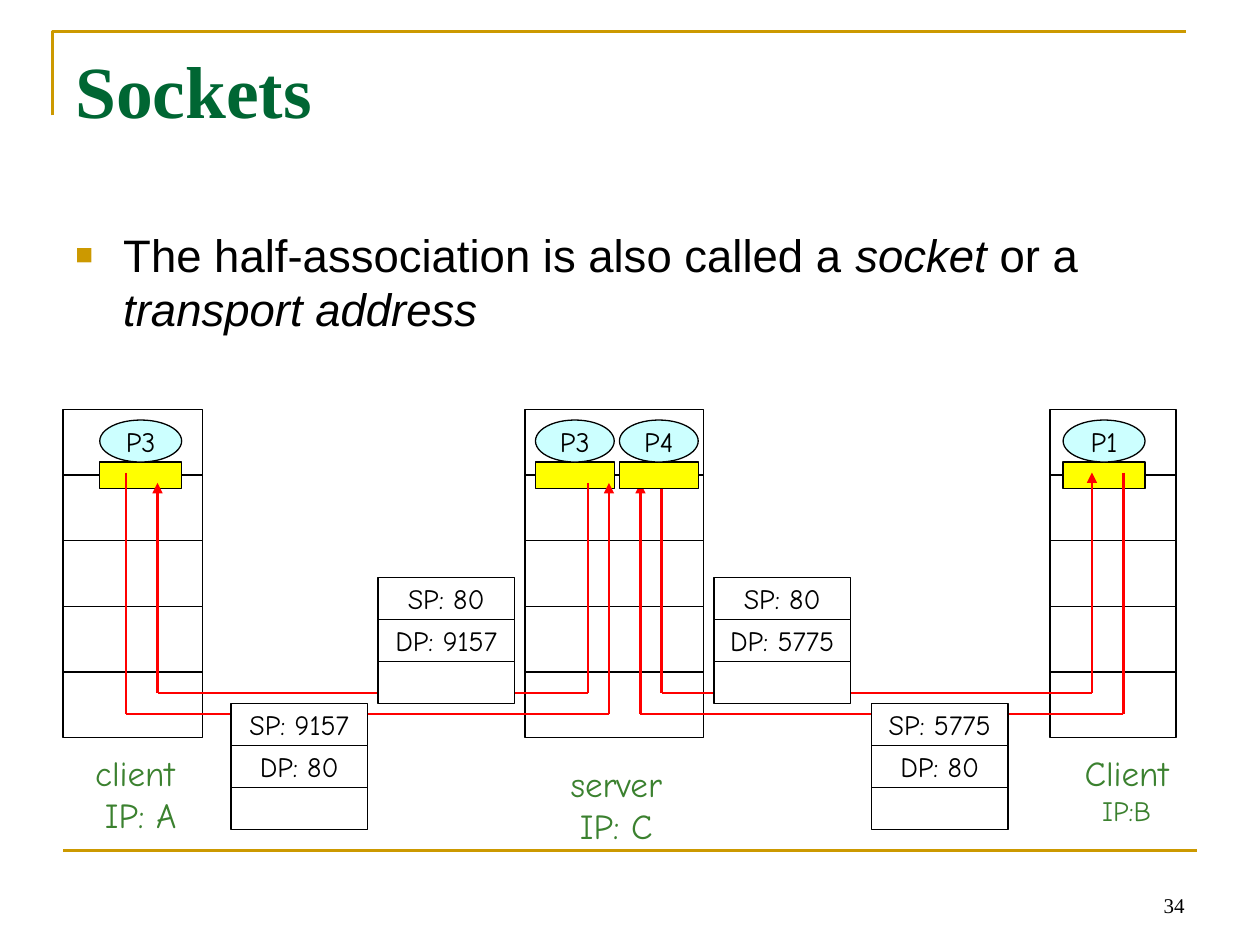
from lxml import etree
from pptx import Presentation
from pptx.dml.color import RGBColor
from pptx.enum.shapes import MSO_CONNECTOR, MSO_SHAPE
from pptx.enum.text import MSO_ANCHOR, PP_ALIGN
from pptx.oxml.ns import qn
from pptx.util import Inches, Pt

RECT, OVAL = MSO_SHAPE.RECTANGLE, MSO_SHAPE.OVAL
STRAIGHT = MSO_CONNECTOR.STRAIGHT
LEFT, CENTER, RIGHT = PP_ALIGN.LEFT, PP_ALIGN.CENTER, PP_ALIGN.RIGHT
TOP, MIDDLE, BOTTOM = MSO_ANCHOR.TOP, MSO_ANCHOR.MIDDLE, MSO_ANCHOR.BOTTOM

GOLD = RGBColor(0xCC, 0x99, 0x00)
DARK_GREEN = RGBColor(0x00, 0x66, 0x33)
LABEL_GREEN = RGBColor(0x3B, 0x81, 0x2F)
BLACK = RGBColor(0, 0, 0)
WHITE = RGBColor(0xFF, 0xFF, 0xFF)
YELLOW = RGBColor(0xFF, 0xFF, 0x00)
PALE_CYAN = RGBColor(0xCC, 0xFF, 0xFF)
RED = RGBColor(0xFF, 0x00, 0x00)

SERIF, SANS, HAND = "Times New Roman", "Arial", "Comic Neue"

# The slide is a grid of 120 columns by 90 rows, 12 to the inch
STACK_TOP, LAYER_HEIGHT, LAYERS = 39, 6.25, 5
PROCESS_TOP, PROCESS_HEIGHT, SOCKET_HEIGHT = 40, 4, 2.5
SEGMENT_WIDTH, FIELD_HEIGHT = 13, 4
UPPER_WIRE, LOWER_WIRE = 66, 68
LABEL_WIDTH, LABEL_HEIGHT = 13, 9.2


def grid(*cells):
    return [Inches(cell / 12) for cell in cells]


def style_para(para, font_name, size, color, align=LEFT):
    para.alignment = align
    font = para.font
    font.name, font.size, font.color.rgb = font_name, Pt(size), color


def add_text(page, area, lines, font_name, sizes, color, align, anchor=TOP, wrap=True):
    frame = page.shapes.add_textbox(*grid(*area)).text_frame
    frame.word_wrap = wrap
    frame.vertical_anchor = anchor
    for index, (line, size) in enumerate(zip(lines, sizes)):
        para = frame.add_paragraph() if index else frame.paragraphs[0]
        para.text = line
        style_para(para, font_name, size, color, align)
    return frame


def add_cell(page, kind, area, fill, text=""):
    cell = page.shapes.add_shape(kind, *grid(*area))
    cell.shadow.inherit = False
    cell.fill.solid()
    cell.fill.fore_color.rgb = fill
    cell.line.color.rgb = BLACK
    cell.line.width = Pt(0.75)
    if text:
        frame = cell.text_frame
        frame.word_wrap = False
        frame.vertical_anchor = MIDDLE
        frame.paragraphs[0].text = text
        style_para(frame.paragraphs[0], HAND, 16, BLACK, CENTER)


def add_line(page, start, end, color, arrow=False):
    line = page.shapes.add_connector(STRAIGHT, *grid(*start, *end))
    line.line.color.rgb = color
    line.line.width = Pt(1.5)
    if arrow:
        etree.SubElement(line.line._get_or_add_ln(), qn("a:tailEnd"), type="triangle")
    etree.SubElement(line._element.spPr, qn("a:effectLst"))


def add_stack(page, left, width):
    for layer in range(LAYERS):
        top = STACK_TOP + layer * LAYER_HEIGHT
        add_cell(page, RECT, (left, top, width, LAYER_HEIGHT), WHITE)


def add_process(page, left, width, name):
    socket_top = PROCESS_TOP + PROCESS_HEIGHT
    add_cell(page, RECT, (left, socket_top, width, SOCKET_HEIGHT), YELLOW)
    add_cell(page, OVAL, (left, PROCESS_TOP, width, PROCESS_HEIGHT), PALE_CYAN, name)


def add_segment(page, left, top, source, destination):
    fields = (f"SP: {source}", f"DP: {destination}", "")
    for row, text in enumerate(fields):
        area = (left, top + row * FIELD_HEIGHT, SEGMENT_WIDTH, FIELD_HEIGHT)
        add_cell(page, RECT, area, WHITE, text)


def add_wire(page, row, source, target):
    """Run down from the source, along the row and up to the target."""
    source_x, target_x = source[0], target[0]
    add_line(page, source, (source_x, row), RED)
    add_line(page, (source_x, row), (target_x, row), RED)
    add_line(page, (target_x, row), target, RED, arrow=True)


def add_host_label(page, center, top, lines, sizes):
    area = (center - LABEL_WIDTH / 2, top, LABEL_WIDTH, LABEL_HEIGHT)
    add_text(page, area, lines, HAND, sizes, LABEL_GREEN, CENTER, wrap=False)


def add_frame(page):
    corner_x, corner_y = grid(5, 3)
    right, bottom = grid(113, 11)
    builder = page.shapes.build_freeform(corner_x, bottom)
    builder.add_line_segments([(corner_x, corner_y), (right, corner_y)], close=False)
    bracket = builder.convert_to_shape()
    bracket.shadow.inherit = False
    bracket.fill.background()
    bracket.line.color.rgb = GOLD
    bracket.line.width = Pt(1.5)
    add_line(page, (6, 81), (114, 81), GOLD)
    add_text(page, (86, 82, 28, 6), ["34"], SERIF, [12], BLACK, RIGHT, BOTTOM)


def add_statement(page):
    frame = add_text(page, (6, 21, 108, 16), [""], SANS, [26], BLACK, LEFT)
    para = frame.paragraphs[0]
    props = para._p.get_or_add_pPr()
    props.set("marL", str(Inches(0.38)))
    props.set("indent", str(-Inches(0.38)))
    bullet_color = etree.Element(qn("a:buClr"))
    etree.SubElement(bullet_color, qn("a:srgbClr"), val=str(GOLD))
    bullet = [
        bullet_color,
        etree.Element(qn("a:buSzPct"), val="65000"),
        etree.Element(qn("a:buFont"), typeface=SANS),
        etree.Element(qn("a:buChar"), char="■"),
    ]
    for position, element in enumerate(bullet):
        props.insert(position, element)
    parts = (
        ("The half-association is also called a ", False),
        ("socket", True),
        (" or a ", False),
        ("transport address", True),
    )
    for text, italic in parts:
        span = para.add_run()
        span.text = text
        span.font.italic = italic


def add_diagram(page):
    # Protocol stacks: client A, server C, client B
    for left, width in ((6, 13.3), (50, 17), (100, 12)):
        add_stack(page, left, width)
    add_process(page, 9.5, 7.8, "P3")
    add_process(page, 51, 7.5, "P3")
    add_process(page, 101.25, 7.8, "P1")

    # Connections in both directions
    add_wire(page, LOWER_WIRE, (12, 45), (58, 46))
    add_wire(page, UPPER_WIRE, (56, 46), (15, 46))
    add_wire(page, LOWER_WIRE, (107, 45), (61, 46))
    add_wire(page, UPPER_WIRE, (63, 46), (104, 45))
    add_process(page, 59, 7.5, "P4")

    # Segments with source and destination ports
    for left, top, source, destination in (
        (36, 55, 80, 9157),
        (22, 67, 9157, 80),
        (68, 55, 80, 5775),
        (83, 67, 5775, 80),
    ):
        add_segment(page, left, top, source, destination)

    # Host names and addresses
    add_host_label(page, 12.85, 71, ("client", " IP: A"), (20, 20))
    add_host_label(page, 58.7, 72, ("server", "IP: C"), (20, 20))
    add_host_label(page, 107.3, 71, ("Client", "IP:B"), (20, 16))


def main():
    deck = Presentation()
    deck.slide_width, deck.slide_height = grid(120, 90)
    page = deck.slides.add_slide(deck.slide_layouts[6])
    add_frame(page)
    title = add_text(page, (6, 3.7, 108, 15), ["Sockets"], SERIF, [42], DARK_GREEN, LEFT)
    title.paragraphs[0].font.bold = True
    add_statement(page)
    add_diagram(page)
    deck.save("out.pptx")


if __name__ == "__main__":
    main()
